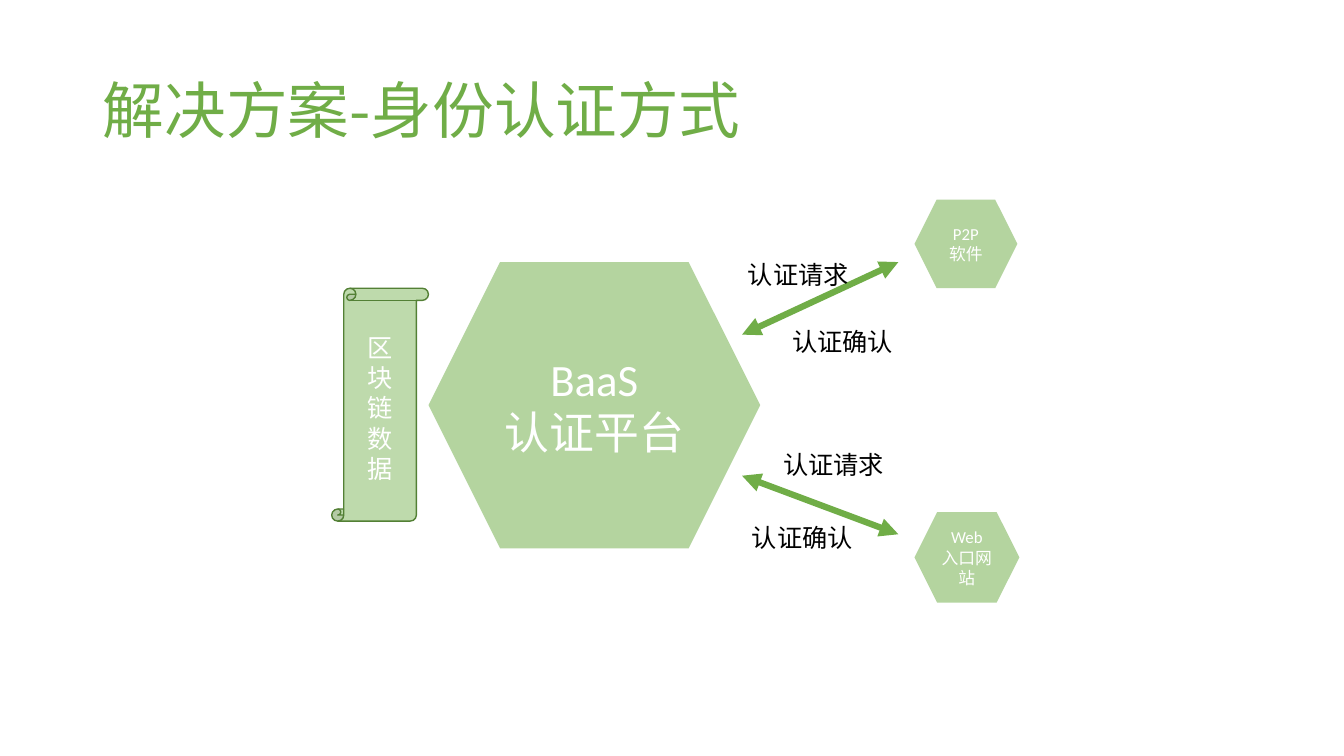
from dataclasses import dataclass

from lxml import etree
from pptx import Presentation
from pptx.dml.color import RGBColor
from pptx.enum.shapes import MSO_CONNECTOR, MSO_SHAPE
from pptx.enum.text import MSO_ANCHOR, MSO_AUTO_SIZE, PP_ALIGN
from pptx.oxml.ns import qn
from pptx.util import Inches, Pt

HEXAGON = MSO_SHAPE.HEXAGON
SCROLL = MSO_SHAPE.VERTICAL_SCROLL
STRAIGHT = MSO_CONNECTOR.STRAIGHT
LEFT, CENTER = PP_ALIGN.LEFT, PP_ALIGN.CENTER
TOP, MIDDLE = MSO_ANCHOR.TOP, MSO_ANCHOR.MIDDLE
GROW = MSO_AUTO_SIZE.SHAPE_TO_FIT_TEXT
NO_FIT = MSO_AUTO_SIZE.NONE


@dataclass(frozen=True)
class Theme:
    green: str = "70AD47"
    dark_green: str = "538035"
    white: str = "FFFFFF"
    black: str = "000000"
    latin_font: str = "Calibri"
    chinese_font: str = "Noto Sans CJK TC"
    title_size: int = 44
    platform_size: int = 32
    label_size: int = 18
    client_size: int = 12


def write_text(text_frame, text, *, size, color, latin, chinese,
               align=LEFT, anchor=TOP, fit=NO_FIT, spacing=None):
    """Fill a text frame, one paragraph per line of text."""
    text_frame.text = text
    text_frame.word_wrap = True
    text_frame.auto_size = fit
    text_frame.vertical_anchor = anchor
    for paragraph in text_frame.paragraphs:
        paragraph.alignment = align
        paragraph.line_spacing = spacing
        for run in paragraph.runs:
            run.font.size = Pt(size)
            run.font.name = latin
            run.font.color.rgb = RGBColor.from_string(color)
            east_asian = etree.SubElement(run.font._element, qn("a:ea"))
            east_asian.set("typeface", chinese)


class SlideBuilder:
    def __init__(self, slide, theme):
        self.slide = slide
        self.theme = theme

    def title(self, text, box):
        title = self.slide.shapes.title
        title.left, title.top, title.width, title.height = map(Inches, box)
        write_text(title.text_frame, text, size=self.theme.title_size,
                   color=self.theme.green, latin=self.theme.chinese_font,
                   chinese=self.theme.chinese_font, anchor=MIDDLE, spacing=0.9)

    def block(self, kind, text, box, *, size, opacity, outline=None):
        shape = self.slide.shapes.add_shape(kind, *map(Inches, box))
        shape.shadow.inherit = False
        shape.fill.solid()
        shape.fill.fore_color.rgb = RGBColor.from_string(self.theme.green)
        color = shape._element.spPr.find(qn("a:solidFill"))[0]
        etree.SubElement(color, qn("a:alpha")).set("val", str(opacity * 1000))
        if outline:
            shape.line.color.rgb = RGBColor.from_string(outline)
            shape.line.width = Pt(1)
        else:
            shape.line.fill.background()
        write_text(shape.text_frame, text, size=size, color=self.theme.white,
                   latin=self.theme.latin_font, chinese=self.theme.chinese_font,
                   align=CENTER, anchor=MIDDLE)

    def double_arrow(self, start, end):
        arrow = self.slide.shapes.add_connector(
            STRAIGHT, *map(Inches, (*start, *end)))
        arrow.line.color.rgb = RGBColor.from_string(self.theme.green)
        arrow.line.width = Pt(4.5)
        for tip in ("a:headEnd", "a:tailEnd"):
            etree.SubElement(arrow.line._ln, qn(tip)).set("type", "triangle")
        etree.SubElement(arrow._element.spPr, qn("a:effectLst"))

    def label(self, text, left, top):
        box = self.slide.shapes.add_textbox(
            *map(Inches, (left, top, 1.44, 0.4)))
        write_text(box.text_frame, text, size=self.theme.label_size,
                   color=self.theme.black, latin=self.theme.latin_font,
                   chinese=self.theme.chinese_font, fit=GROW)


def main():
    theme = Theme()
    presentation = Presentation()
    presentation.slide_width = Inches(13.33)
    presentation.slide_height = Inches(7.5)
    slide = presentation.slides.add_slide(presentation.slide_layouts[5])
    builder = SlideBuilder(slide, theme)

    builder.title("解决方案-身份认证方式", (0.92, 0.4, 11.5, 1.45))

    # Platform, its clients and the chain data
    hexagons = [
        ("P2P\n软件", (9.07, 1.98, 1.02, 0.88), theme.client_size),
        ("BaaS\n认证平台", (4.25, 2.6, 3.29, 2.84), theme.platform_size),
        ("Web\n入口网站", (9.07, 5.08, 1.04, 0.9), theme.client_size),
    ]
    for text, box, size in hexagons:
        builder.block(HEXAGON, text, box, size=size, opacity=52)
    builder.block(SCROLL, "\n".join("区块链数据"), (3.29, 2.86, 0.96, 2.31),
                  size=theme.label_size, opacity=45, outline=theme.dark_green)

    # Exchanges between clients and platform
    for client_y, platform_y in [(2.6, 3.32), (5.3, 4.72)]:
        builder.double_arrow((8.91, client_y), (7.36, platform_y))
    for text, places in {
        "认证确认": [(7.76, 3.19), (7.36, 5.13)],
        "认证请求": [(7.32, 2.52), (7.67, 4.41)],
    }.items():
        for left, top in places:
            builder.label(text, left, top)

    presentation.save("out.pptx")


if __name__ == "__main__":
    main()
